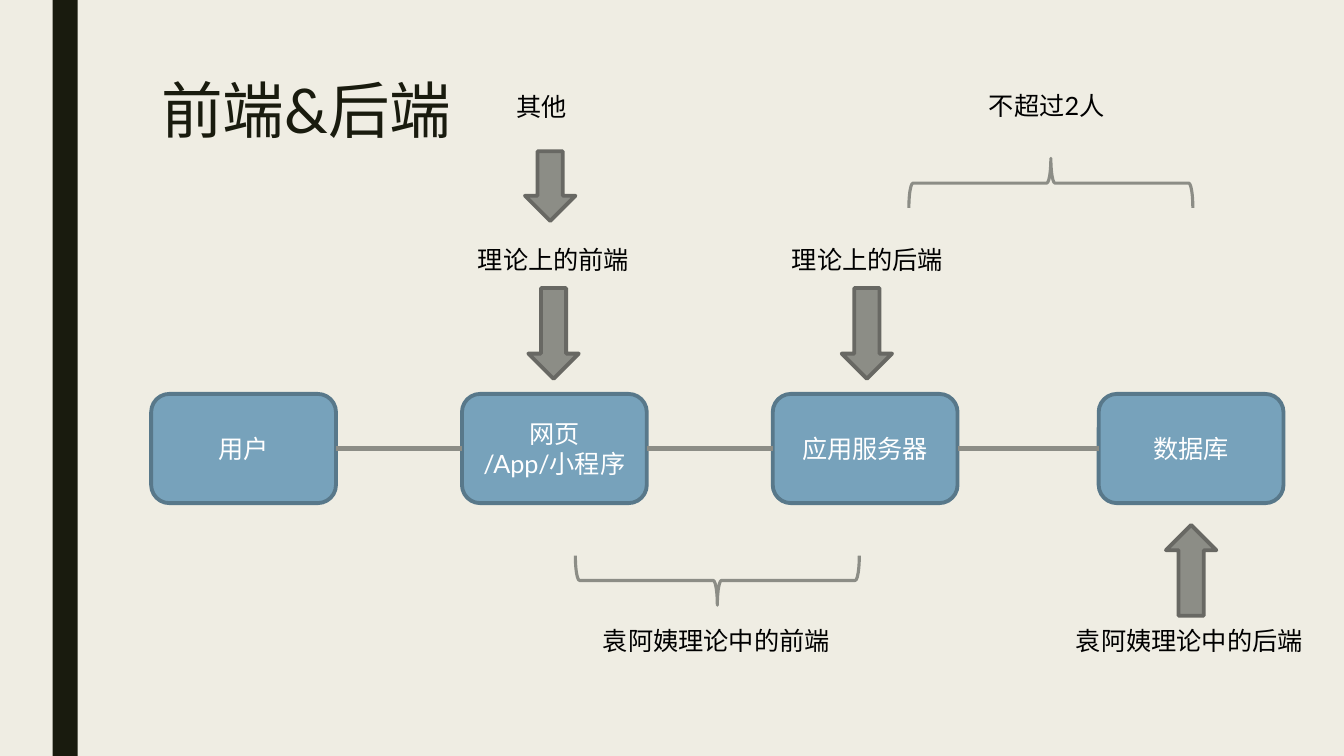
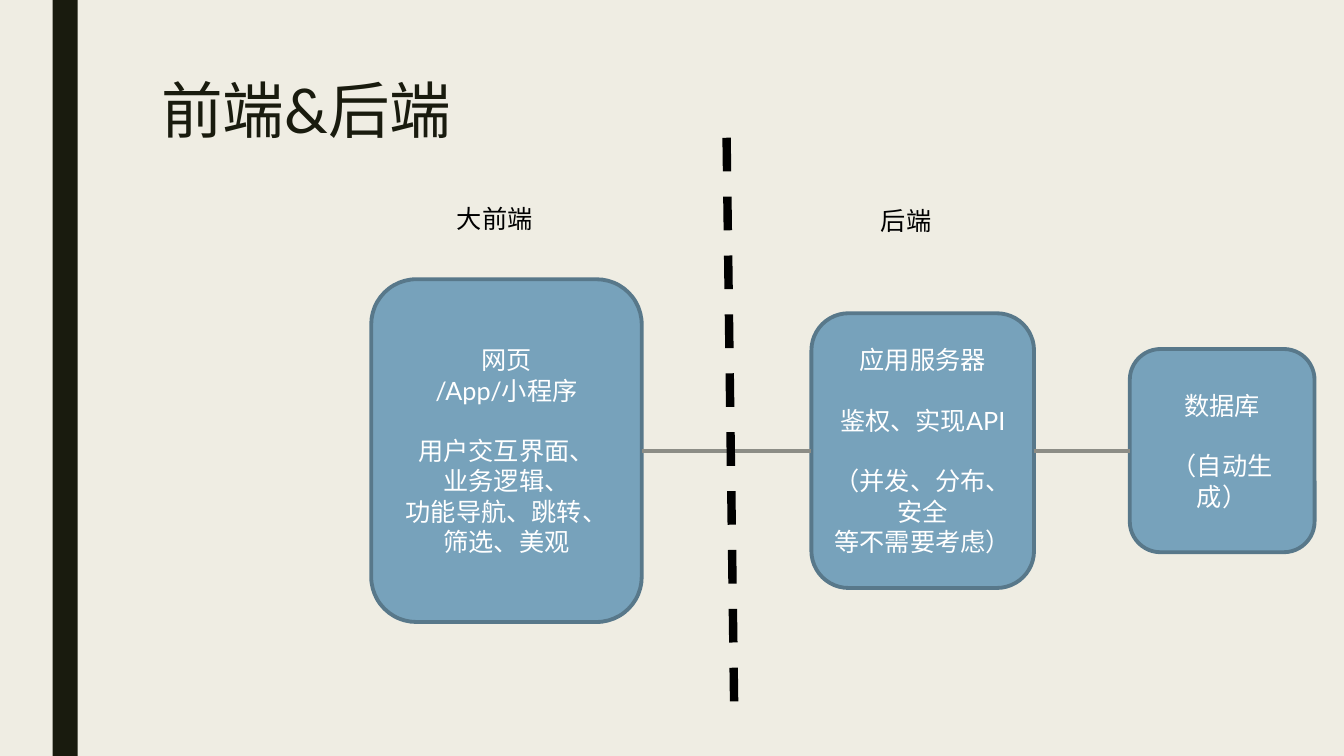
from dataclasses import dataclass

from lxml import etree
from pptx import Presentation
from pptx import util as u
from pptx.dml.color import RGBColor
from pptx.enum import dml, shapes, text
from pptx.oxml import ns


@dataclass(frozen=True)
class Theme:
    paper: str = "EFEDE3"
    ink: str = "191B0E"
    box: str = "77A2BB"
    box_edge: str = "58788A"
    gray: str = "8C8D86"
    gray_edge: str = "686863"
    black: str = "000000"
    white: str = "FFFFFF"
    font: str = "Lato"
    title_size: float = 44
    body_size: float = 18
    block_gap: float = 21.6
    edge: float = 2.75
    link: float = 3
    brace: float = 2.25
    divider: float = 6


@dataclass(frozen=True)
class Box:
    """A rounded box on the chain; blank lines in content separate blocks."""
    left: float
    width: float
    height: float
    content: str

    @property
    def center(self) -> float:
        return self.left + self.width / 2


@dataclass(frozen=True)
class Label:
    center: float
    top: float
    content: str


@dataclass(frozen=True)
class Arrow:
    center: float
    top: float
    height: float
    turn: int = 0


@dataclass(frozen=True)
class Brace:
    center: float
    middle: float
    turn: int


THEME = Theme()
COLUMNS, ROWS = 160, 90  # square cells, twelve to the inch
TITLE = "前端&后端"

prs = Presentation()
prs.slide_width, prs.slide_height = u.Inches(13.33), u.Inches(7.5)


def col(n: float) -> int:
    return round(prs.slide_width * n / COLUMNS)


def row(n: float) -> int:
    return round(prs.slide_height * n / ROWS)


def frame(left: float, top: float, width: float, height: float) -> tuple:
    return col(left), row(top), col(width), row(height)


def set_font(paragraph, size: float, color: str) -> None:
    font = paragraph.font
    font.name, font.size = THEME.font, u.Pt(size)
    font.color.rgb = RGBColor.from_string(color)


def set_line(line, color: str, width: float) -> None:
    line.color.rgb = RGBColor.from_string(color)
    line.width = u.Pt(width)


def add_shape(slide, preset, area: tuple, fill: str = "", edge: str = "",
              width: float = THEME.edge, turn: int = 0):
    shape = slide.shapes.add_shape(preset, *area)
    shape.shadow.inherit = False
    shape.rotation = turn
    if fill:
        shape.fill.solid()
        shape.fill.fore_color.rgb = RGBColor.from_string(fill)
    else:
        shape.fill.background()
    if edge:
        set_line(shape.line, edge, width)
    else:
        shape.line.fill.background()
    return shape


def add_line(slide, start: tuple, end: tuple, color: str, width: float):
    line = slide.shapes.add_connector(shapes.MSO_CONNECTOR.STRAIGHT, *start, *end)
    set_line(line.line, color, width)
    etree.SubElement(line.element.spPr, ns.qn("a:effectLst"))
    return line


def add_titled_slide(title: str):
    slide = prs.slides.add_slide(prs.slide_layouts[6])
    slide.background.fill.solid()
    slide.background.fill.fore_color.rgb = RGBColor.from_string(THEME.paper)
    add_shape(slide, shapes.MSO_SHAPE.RECTANGLE, frame(6.25, 0, 3, ROWS), THEME.ink)
    heading = slide.shapes.add_textbox(*frame(18, 9, 126, 19.4)).text_frame
    heading.word_wrap = True
    paragraph = heading.paragraphs[0]
    paragraph.text, paragraph.line_spacing = title, 0.89
    set_font(paragraph, THEME.title_size, THEME.ink)
    return slide


def add_box(slide, box: Box, axis: float):
    area = frame(box.left, axis - box.height / 2, box.width, box.height)
    shape = add_shape(slide, shapes.MSO_SHAPE.ROUNDED_RECTANGLE, area,
                      THEME.box, THEME.box_edge)
    body = shape.text_frame
    body.word_wrap = True
    body.vertical_anchor = text.MSO_ANCHOR.MIDDLE
    paragraph = body.paragraphs[0]
    for b, block in enumerate(box.content.split("\n\n")):
        for n, words in enumerate(block.split("\n")):
            if b or n:
                paragraph = body.add_paragraph()
            paragraph.text = words
            paragraph.alignment = text.PP_ALIGN.CENTER
            set_font(paragraph, THEME.body_size, THEME.white)
            if b and not n:
                paragraph.space_before = u.Pt(THEME.block_gap)
    return shape


def add_chain(slide, boxes: list[Box], axis: float) -> None:
    """Boxes centred on one axis, each linked to the next."""
    drawn = [add_box(slide, box, axis) for box in boxes]
    for before, after in zip(drawn, drawn[1:]):
        link = add_line(slide, (0, 0), (0, 0), THEME.gray, THEME.link)
        link.begin_connect(before, 3)
        link.end_connect(after, 1)


def add_label(slide, label: Label) -> None:
    # A Chinese character is three columns wide, a digit about half of that
    width = 2.6 + sum(3 if ord(c) > 127 else 1.7 for c in label.content)
    area = frame(label.center - width / 2, label.top, width, 4.8)
    body = slide.shapes.add_textbox(*area).text_frame
    body.word_wrap = False
    body.auto_size = text.MSO_AUTO_SIZE.SHAPE_TO_FIT_TEXT
    body.paragraphs[0].text = label.content
    set_font(body.paragraphs[0], THEME.body_size, THEME.black)


def add_arrow(slide, arrow: Arrow) -> None:
    add_shape(slide, shapes.MSO_SHAPE.DOWN_ARROW,
              frame(arrow.center - 3, arrow.top, 6, arrow.height),
              THEME.gray, THEME.gray_edge, turn=arrow.turn)


def add_brace(slide, brace: Brace) -> None:
    depth, span = 5.9, 33.8
    area = frame(brace.center - depth / 2, brace.middle - span / 2, depth, span)
    add_shape(slide, shapes.MSO_SHAPE.LEFT_BRACE, area, edge=THEME.gray,
              width=THEME.brace, turn=brace.turn)


# Slide 1: who counts as front end and back end
user, web, server, database = chain = [
    Box(left, 22, 13, words) for left, words in (
        (18, "用户"), (55, "网页\n/App/小程序"),
        (92, "应用服务器"), (130.8, "数据库"))]
roles = add_titled_slide(TITLE)
add_chain(roles, chain, 53.4)
for brace in (Brace(85.4, 69.1, 270), Brace(125.1, 21.8, 90)):
    add_brace(roles, brace)
for arrow in (Arrow(web.center - 0.5, 18, 8.3),
              Arrow(web.center - 0.1, 34.3, 10.8),
              Arrow(server.center + 0.2, 34.3, 10.8),
              Arrow(database.center, 62.5, 10.8, 180)):
    add_arrow(roles, arrow)
for label in (Label(64.6, 10.3, "其他"),
              Label(124.7, 10.2, "不超过2人"),
              Label(web.center, 28.5, "理论上的前端"),
              Label(server.center + 0.4, 28.5, "理论上的后端"),
              Label(85.4, 73.9, "袁阿姨理论中的前端"),
              Label(database.center - 0.1, 73.9, "袁阿姨理论中的后端")):
    add_label(roles, label)

# Slide 2: large front end against back end
split = add_titled_slide(TITLE)
add_chain(split, [
    Box(44.2, 32.2, 40.8, "网页\n/App/小程序\n\n用户交互界面、\n业务逻辑、\n"
                          "功能导航、跳转、\n筛选、美观"),
    Box(96.6, 26.5, 32.7, "应用服务器\n\n鉴权、实现API\n\n"
                          "（并发、分布、安全\n等不需要考虑）"),
    Box(134.5, 22, 24.2, "数据库\n\n（自动生成）"),
], 53.65)
divider = add_line(split, (col(86.5), row(16.4)), (col(87.4), row(84.1)),
                   THEME.black, THEME.divider)
divider.line.dash_style = dml.MSO_LINE.DASH
for label in (Label(59, 23.6, "大前端"), Label(108, 23.8, "后端")):
    add_label(split, label)

prs.save("out.pptx")
